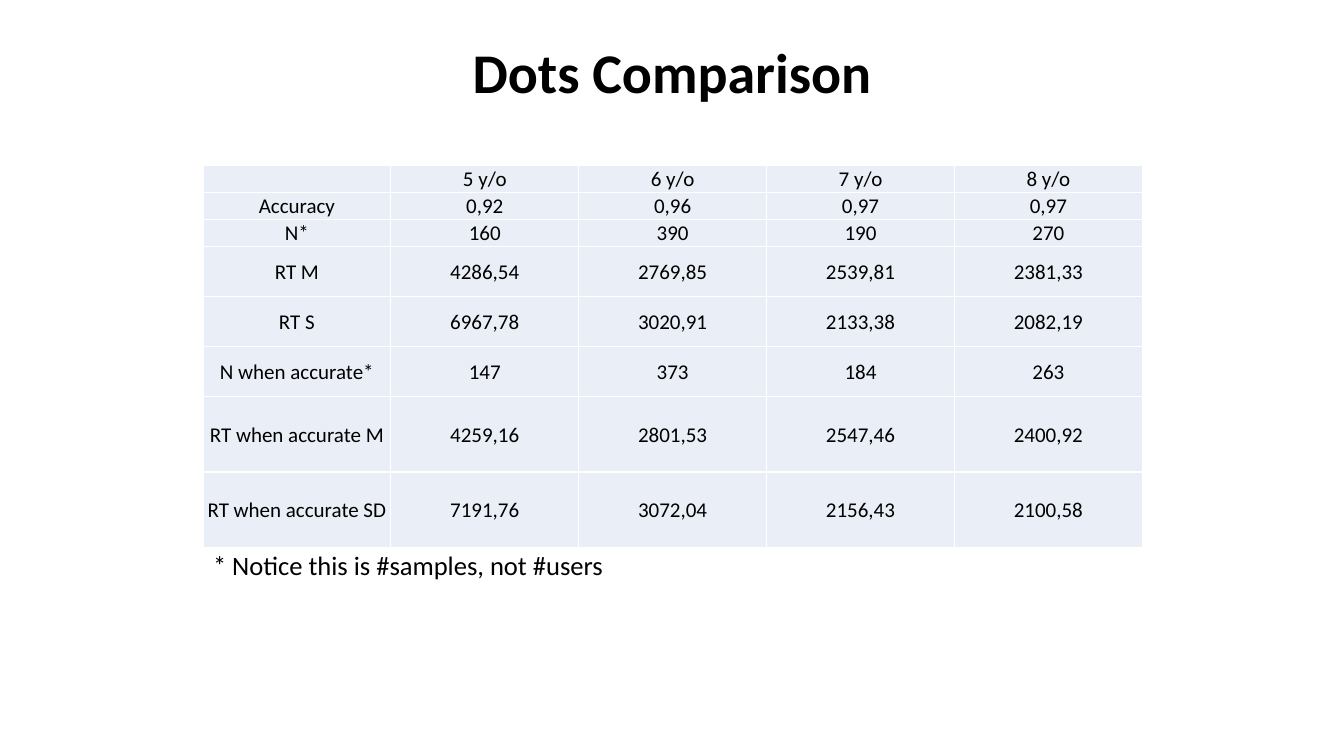
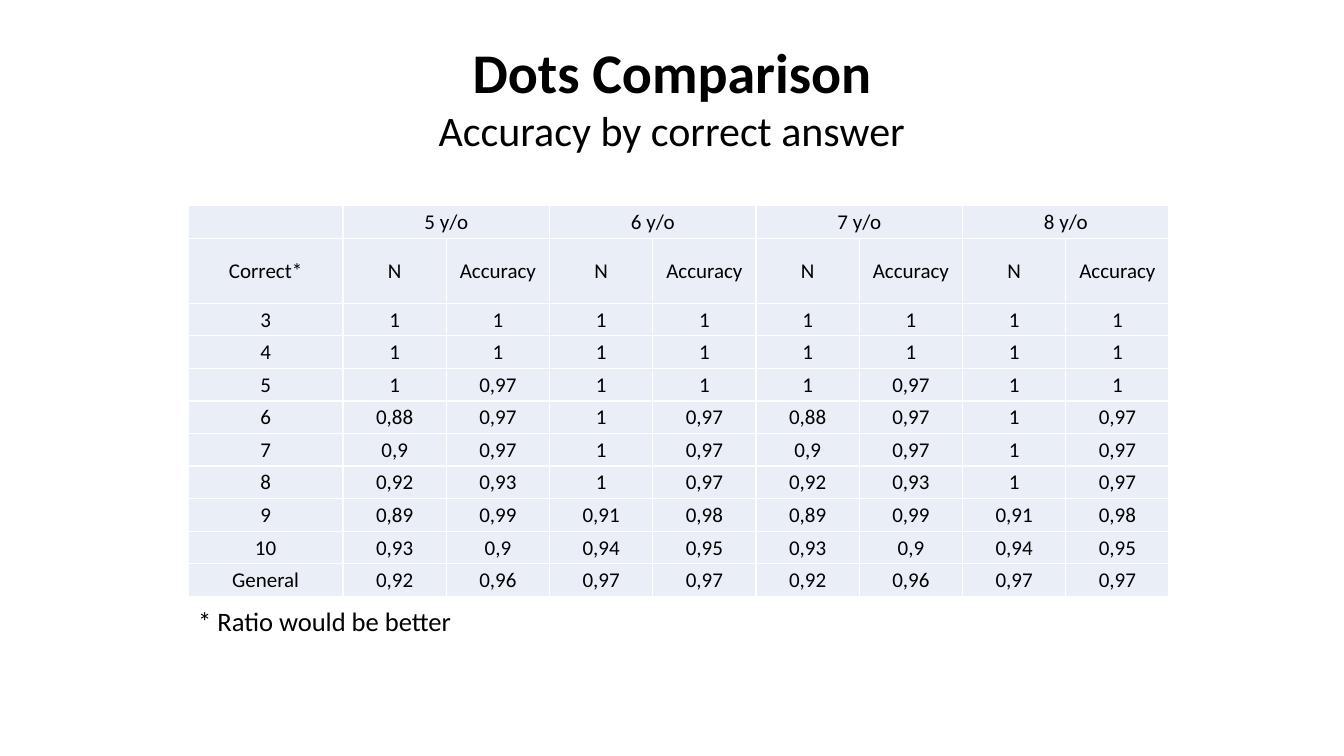
"""Builds two table slides on the results of a dots comparison task."""
from dataclasses import dataclass
from itertools import accumulate, pairwise

from lxml import etree
from pptx import Presentation
from pptx import util as u
from pptx.dml.color import RGBColor
from pptx.enum import text
from pptx.oxml.ns import qn

SLIDE_WIDTH, SLIDE_HEIGHT = u.Inches(13.33), u.Inches(7.5)
COLOURS = {"ink": "000000", "cell": "EAEFF7", "border": "FFFFFF"}
FONT = "Calibri"
TITLE = "Dots Comparison"
TITLE_SIZE, SUBTITLE_SIZE, NOTE_SIZE, CELL_SIZE = 40, 30, 19, 15
AGES = ("5 y/o", "6 y/o", "7 y/o", "8 y/o")


@dataclass(frozen=True)
class Area:
    """A rectangle in percent of the slide's width and height."""
    left: float
    top: float
    width: float
    height: float

    def lengths(self) -> tuple[int, int, int, int]:
        return (round(SLIDE_WIDTH * self.left / 100), round(SLIDE_HEIGHT * self.top / 100),
                round(SLIDE_WIDTH * self.width / 100), round(SLIDE_HEIGHT * self.height / 100))


@dataclass(frozen=True)
class TableSlide:
    """One slide: title lines, a table with weighted rows and columns, and a note."""
    subtitle: str
    title_height: float
    area: Area
    column_weights: tuple[int, ...]
    row_weights: tuple[int, ...]
    rows: tuple[tuple[str, ...], ...]
    header_span: int
    note: str
    note_height: float
    note_anchor: text.MSO_ANCHOR


ANSWER_ACCURACY = (
    ("3", "1", "1", "1", "1"),
    ("4", "1", "1", "1", "1"),
    ("5", "1", "0,97", "1", "1"),
    ("6", "0,88", "0,97", "1", "0,97"),
    ("7", "0,9", "0,97", "1", "0,97"),
    ("8", "0,92", "0,93", "1", "0,97"),
    ("9", "0,89", "0,99", "0,91", "0,98"),
    ("10", "0,93", "0,9", "0,94", "0,95"),
    ("General", "0,92", "0,96", "0,97", "0,97"),
)

SLIDES = (
    TableSlide(
        subtitle="",
        title_height=10.3,
        area=Area(15.1, 21.9, 69.9, 50.5),
        column_weights=(1,) * 5,
        row_weights=(27,) * 3 + (50,) * 3 + (75,) * 2,
        rows=(
            ("", *AGES),
            ("Accuracy", "0,92", "0,96", "0,97", "0,97"),
            ("N*", "160", "390", "190", "270"),
            ("RT M", "4286,54", "2769,85", "2539,81", "2381,33"),
            ("RT S", "6967,78", "3020,91", "2133,38", "2082,19"),
            ("N when accurate*", "147", "373", "184", "263"),
            ("RT when accurate M", "4259,16", "2801,53", "2547,46", "2400,92"),
            ("RT when accurate SD", "7191,76", "3072,04", "2156,43", "2100,58"),
        ),
        header_span=1,
        note="* Notice this is #samples, not #users",
        note_height=15.6,
        note_anchor=text.MSO_ANCHOR.TOP,
    ),
    TableSlide(
        subtitle="Accuracy by correct answer",
        title_height=17.1,
        area=Area(14, 27.2, 73, 51.7),
        column_weights=(3,) + (2,) * 8,
        row_weights=(1, 2) + (1,) * 9,
        rows=(
            ("", *(label for age in AGES for label in (age, ""))),
            ("Correct*", *("N", "Accuracy") * 4),
            *((answer, *values * 2) for answer, *values in ANSWER_ACCURACY),
        ),
        header_span=2,
        note="* Ratio would be better",
        note_height=7.1,
        note_anchor=text.MSO_ANCHOR.MIDDLE,
    ),
)


def place(shape, area: Area) -> None:
    shape.left, shape.top, shape.width, shape.height = area.lengths()


def set_font(paragraph, size: int, bold: bool = False) -> None:
    font = paragraph.font
    font.name, font.size, font.bold = FONT, u.Pt(size), bold
    font.color.rgb = RGBColor.from_string(COLOURS["ink"])


def split(total: int, weights: tuple[int, ...]) -> list[int]:
    """Divides a length by weights so that the parts add up exactly."""
    edges = [round(total * edge / sum(weights)) for edge in accumulate(weights, initial=0)]
    return [end - start for start, end in pairwise(edges)]


def add_title(slide, content: TableSlide) -> None:
    title = slide.shapes.title
    place(title, Area(30.5, 4.3, 39, content.title_height))
    frame = title.text_frame
    frame.text = "\n".join(filter(None, (TITLE, content.subtitle)))
    frame.word_wrap = True
    frame.auto_size = text.MSO_AUTO_SIZE.SHAPE_TO_FIT_TEXT
    frame.vertical_anchor = text.MSO_ANCHOR.TOP
    for index, paragraph in enumerate(frame.paragraphs):
        paragraph.alignment = text.PP_ALIGN.CENTER
        set_font(paragraph, SUBTITLE_SIZE if index else TITLE_SIZE, bold=index == 0)


def add_note(slide, content: TableSlide) -> None:
    note = slide.placeholders[1]
    area = content.area
    place(note, Area(area.left, area.top + area.height, 46, content.note_height))
    frame = note.text_frame
    frame.text = content.note
    frame.auto_size = text.MSO_AUTO_SIZE.NONE
    frame.vertical_anchor = content.note_anchor
    paragraph = frame.paragraphs[0]
    properties = paragraph._p.get_or_add_pPr()
    properties.set("marL", "0")
    properties.set("indent", "0")
    etree.SubElement(properties, qn("a:buNone"))
    paragraph.line_spacing = 0.9
    paragraph.space_before = u.Pt(0)
    set_font(paragraph, NOTE_SIZE)


def format_cell(cell, label: str) -> None:
    properties = cell._tc.get_or_add_tcPr()
    for side in ("L", "R", "T", "B"):
        line = etree.SubElement(properties, qn(f"a:ln{side}"), w=str(u.Pt(1)))
        fill = etree.SubElement(line, qn("a:solidFill"))
        etree.SubElement(fill, qn("a:srgbClr"), val=COLOURS["border"])
    cell.fill.solid()
    cell.fill.fore_color.rgb = RGBColor.from_string(COLOURS["cell"])
    cell.margin_left = cell.margin_right = cell.margin_top = u.Inches(0.01)
    cell.margin_bottom = 0
    cell.vertical_anchor = text.MSO_ANCHOR.MIDDLE
    cell.text = label
    paragraph = cell.text_frame.paragraphs[0]
    paragraph.alignment = text.PP_ALIGN.CENTER
    set_font(paragraph, CELL_SIZE)


def add_results(slide, content: TableSlide) -> None:
    rows, columns = len(content.row_weights), len(content.column_weights)
    left, top, width, height = content.area.lengths()
    table = slide.shapes.add_table(rows, columns, left, top, width, height).table
    table.first_row = table.horz_banding = False
    for column, length in zip(table.columns, split(width, content.column_weights)):
        column.width = length
    for row, length, labels in zip(table.rows, split(height, content.row_weights), content.rows):
        row.height = length
        for cell, label in zip(row.cells, labels):
            format_cell(cell, label)
    if content.header_span > 1:
        for start in range(1, columns, content.header_span):
            table.cell(0, start).merge(table.cell(0, start + content.header_span - 1))


def main() -> None:
    presentation = Presentation()
    presentation.slide_width, presentation.slide_height = SLIDE_WIDTH, SLIDE_HEIGHT
    for content in SLIDES:
        slide = presentation.slides.add_slide(presentation.slide_layouts[1])
        add_title(slide, content)
        add_note(slide, content)
        add_results(slide, content)
    presentation.save("out.pptx")


if __name__ == "__main__":
    main()
